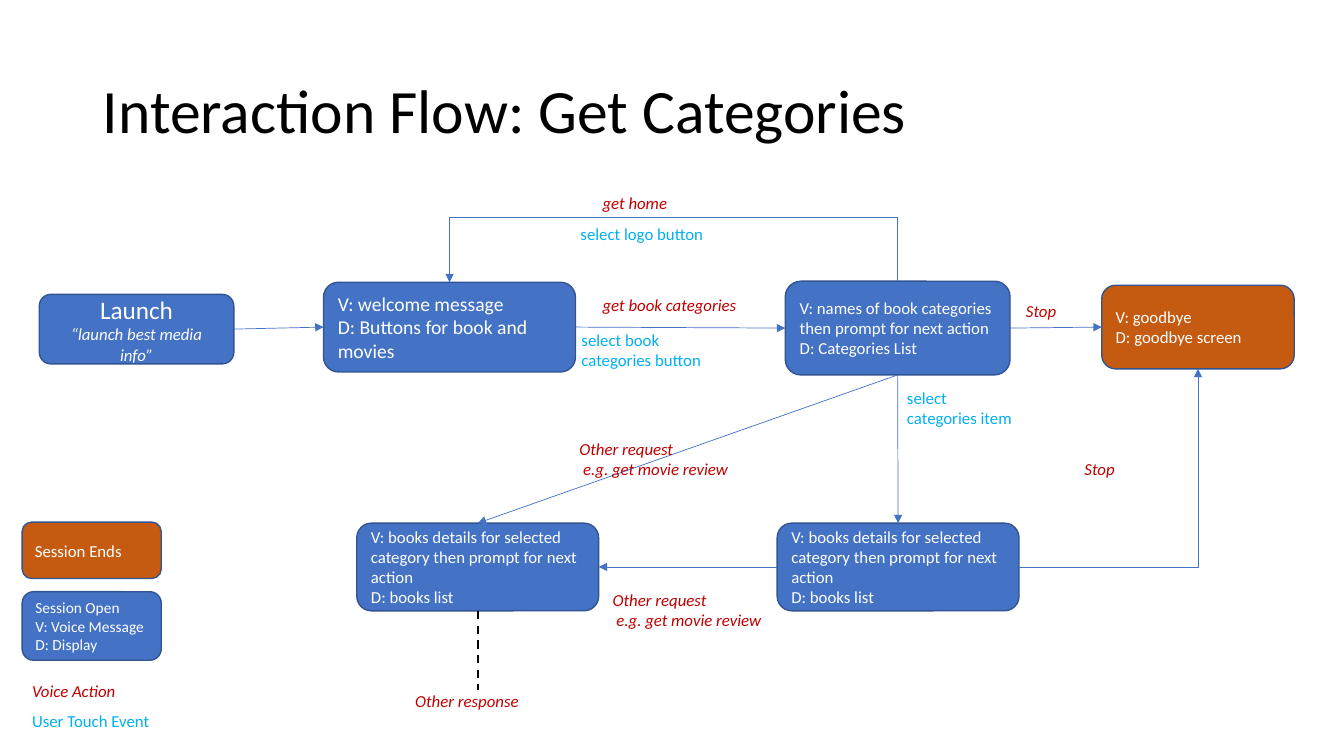
from lxml.etree import SubElement
from pptx import Presentation
from pptx.dml.color import RGBColor
from pptx.enum.dml import MSO_LINE
from pptx.enum.shapes import MSO_CONNECTOR, MSO_SHAPE
from pptx.enum.text import MSO_ANCHOR, PP_ALIGN
from pptx.oxml.ns import qn
from pptx.util import Inches, Pt

WIDTH, HEIGHT = Inches(13.33), Inches(7.5)
COL, ROW = WIDTH / 40, HEIGHT / 30
BLUE = RGBColor(0x44, 0x72, 0xC4)
EDGE = RGBColor(0x32, 0x54, 0x91)
RUST = RGBColor(0xC5, 0x5A, 0x11)
RED = RGBColor(0xC0, 0x00, 0x00)
SKY = RGBColor(0x00, 0xB0, 0xF0)
WHITE = RGBColor(0xFF, 0xFF, 0xFF)
BLACK = RGBColor(0x00, 0x00, 0x00)
TOP, LEFT, BOTTOM, RIGHT = range(4)


def place(box, x, y, w, h):
    return (round((box[0] + x) * COL), round((box[1] + y) * ROW),
            round(w * COL), round(h * ROW))


def write(frame, lines, size, color, italic=False, align=PP_ALIGN.LEFT):
    frame.text = "\n".join(lines)
    for para in frame.paragraphs:
        para.alignment = align
        font = para.font
        font.name, font.size, font.italic = "Calibri", Pt(size), italic
        font.color.rgb = color


def node(slide, box, spot, lines, size=12, fill=BLUE, align=PP_ALIGN.LEFT):
    shape = slide.shapes.add_shape(MSO_SHAPE.ROUNDED_RECTANGLE, *place(box, *spot))
    shape.shadow.inherit = False
    shape.fill.solid()
    shape.fill.fore_color.rgb = fill
    shape.line.color.rgb = EDGE
    shape.line.width = Pt(1)
    shape.text_frame.vertical_anchor = MSO_ANCHOR.MIDDLE
    shape.text_frame.word_wrap = True
    write(shape.text_frame, lines, size, WHITE, align=align)
    return shape


def label(slide, box, x, y, w, lines, color):
    height = 0.4 + 0.8 * len(lines)
    text = slide.shapes.add_textbox(*place(box, x, y, w, height))
    text.text_frame.word_wrap = False
    write(text.text_frame, lines, 12, color, italic=color == RED)


def wire(slide, kind, ends=(0, 0, 0, 0), color=BLUE, width=0.5, arrow=True):
    line = slide.shapes.add_connector(kind, *map(round, ends))
    line.line.color.rgb = color
    line.line.width = Pt(width)
    SubElement(line._element.spPr, qn("a:effectLst"))
    if arrow:
        SubElement(line.line._get_or_add_ln(), qn("a:tailEnd"), type="triangle")
    return line


def join(slide, start, side, stop, end, kind=MSO_CONNECTOR.STRAIGHT):
    line = wire(slide, kind)
    line.begin_connect(start, side)
    line.end_connect(stop, end)
    return line


def loop(slide, start, stop, peak):
    x = (start.left + start.width / 2 + stop.left + stop.width / 2) / 2
    y = (start.top + stop.top) / 2
    span = (start.left + start.width / 2 - stop.left - stop.width / 2) / 2
    drop = (stop.top - start.top) / 2
    line = wire(slide, MSO_CONNECTOR.ELBOW, (x + drop, y + span, x - drop, y - span))
    line._element.spPr.find(qn("a:xfrm")).set("rot", str(270 * 60000))
    shape = line._element.spPr.find(qn("a:prstGeom"))
    share = round((peak - start.top) / (2 * drop) * 100000)
    SubElement(shape.get_or_add_avLst(), qn("a:gd"), name="adj1", fmla=f"val {share}")


def heading(slide, box):
    title = slide.shapes.title
    title.left, title.top, title.width, title.height = place(box, 0, 0, *box[2:])
    title.text_frame.vertical_anchor = MSO_ANCHOR.MIDDLE
    write(title.text_frame, ["Interaction Flow: Get Categories"], 44, BLACK)
    title.text_frame.paragraphs[0].line_spacing = 0.9


def flow(slide, box):
    books = ["V: books details for selected category then prompt for next action",
             "D: books list"]
    launch = node(slide, box, (0.17, 4.68, 5.79, 2.76),
                  ["Launch", "“launch best media info”"], 18, align=PP_ALIGN.CENTER)
    quote = launch.text_frame.paragraphs[1].font
    quote.size, quote.italic = Pt(12), True
    home = node(slide, box, (8.63, 4.2, 7.5, 3.56),
                ["V: welcome message", "D: Buttons for book and movies"], 14)
    names = node(slide, box, (22.37, 4.16, 6.69, 3.72),
                 ["V: names of book categories then prompt for next action",
                  "D: Categories List"])
    bye = node(slide, box, (31.79, 4.32, 5.73, 3.32),
               ["V: goodbye", "D: goodbye screen"], fill=RUST)
    items, other = [node(slide, box, (x, 13.76, 7.2, 3.48), books)
                    for x in (22.13, 9.62)]

    for start, side, stop, end in [
        (launch, RIGHT, home, LEFT),
        (home, RIGHT, names, LEFT),
        (names, RIGHT, bye, LEFT),
        (names, BOTTOM, items, TOP),
        (names, BOTTOM, other, TOP),
        (items, LEFT, other, RIGHT),
    ]:
        join(slide, start, side, stop, end)
    bend = join(slide, items, RIGHT, bye, BOTTOM, MSO_CONNECTOR.ELBOW)
    bend._element.spPr.find(qn("a:prstGeom")).set("prst", "bentConnector2")
    loop(slide, names, home, place(box, 0, 1.6, 0, 0)[1])

    mid = other.left + other.width / 2
    foot = place(box, 0, 20.4, 0, 0)[1]
    dash = wire(slide, MSO_CONNECTOR.STRAIGHT, (mid, foot, mid, foot), BLACK, 1.5, False)
    dash.begin_connect(other, BOTTOM)
    dash.line.dash_style = MSO_LINE.DASH

    ask = ["Other request", " e.g. get movie review"]
    for x, y, w, lines, color in [
        (16.64, 0.44, 2.55, ["get home"], RED),
        (15.98, 1.68, 4.41, ["select logo button"], SKY),
        (16.64, 4.48, 4.62, ["get book categories"], RED),
        (16.01, 5.88, 4.2, ["select book", "categories button"], SKY),
        (29.24, 4.72, 1.5, ["Stop"], RED),
        (25.7, 8.2, 3.75, ["select", "categories item"], SKY),
        (30.98, 11, 1.5, ["Stop"], RED),
        (15.95, 10.2, 5.07, ask, RED),
        (16.94, 16.2, 5.07, ask, RED),
        (11.06, 20.2, 3.72, ["Other response"], RED),
    ]:
        label(slide, box, x, y, w, lines, color)


def legend(slide, box):
    wide = box[2]
    node(slide, box, (0, 0, wide, 2.24), ["Session Ends"], fill=RUST)
    node(slide, box, (0, 2.76, wide, 2.72),
         ["Session Open", "V: Voice Message", "D: Display"], 11)
    label(slide, box, 0, 6.08, 3.12, ["Voice Action"], RED)
    label(slide, box, 0, 7.28, wide, ["User Touch Event"], SKY)


def main():
    deck = Presentation()
    deck.slide_width, deck.slide_height = WIDTH, HEIGHT
    slide = deck.slides.add_slide(deck.slide_layouts[5])
    heading(slide, (2.76, 1.6, 34.5, 5.8))
    flow(slide, (1, 7, 38, 22))
    legend(slide, (0.66, 20.72, 4.14, 8.48))
    deck.save("out.pptx")


if __name__ == "__main__":
    main()
